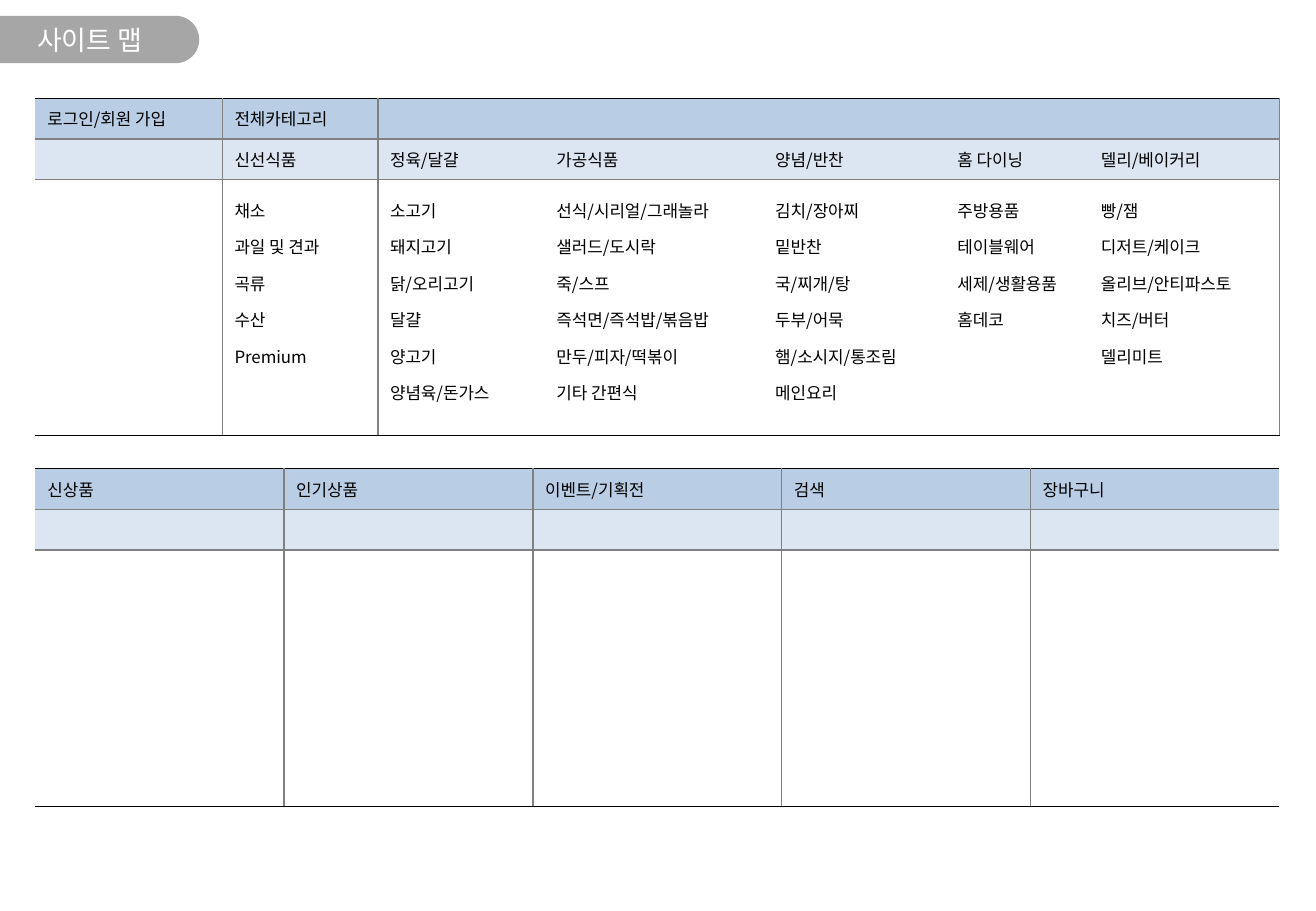
from lxml.etree import SubElement
from pptx import Presentation
from pptx.dml.color import RGBColor
from pptx.enum.shapes import MSO_SHAPE
from pptx.enum.text import MSO_ANCHOR, PP_ALIGN
from pptx.oxml.ns import qn
from pptx.util import Inches, Pt

FONT = "Noto Sans CJK KR"
COLORS = {
    "tab": "A6A6A6", "title": "FFFFFF", "text": "000000",
    "head": "B9CDE5", "subhead": "DCE6F2", "body": "FFFFFF",
    "edge": "000000", "grid": "808080",
}
ROW_FILLS = ["head", "subhead", "body"]
ROW_HEIGHTS = [0.335, 0.335, 2.11]
EDGE, GRID = ("edge", 0.75), ("grid", 1)
ROW_LINES = [EDGE, GRID, GRID, EDGE]
MARGIN, TABLE_WIDTH = 0.29, 10.24

# One entry per column: width, head, subhead, items
CATEGORIES = [
    (1.54, "로그인/회원 가입", "", []),
    (1.28, "전체카테고리", "신선식품",
     ["채소", "과일 및 견과", "곡류", "수산", "Premium"]),
    (1.37, "", "정육/달걀",
     ["소고기", "돼지고기", "닭/오리고기", "달걀", "양고기", "양념육/돈가스"]),
    (1.8, "", "가공식품",
     ["선식/시리얼/그래놀라", "샐러드/도시락", "죽/스프",
      "즉석면/즉석밥/볶음밥", "만두/피자/떡볶이", "기타 간편식"]),
    (1.5, "", "양념/반찬",
     ["김치/장아찌", "밑반찬", "국/찌개/탕", "두부/어묵",
      "햄/소시지/통조림", "메인요리"]),
    (1.18, "", "홈 다이닝",
     ["주방용품", "테이블웨어", "세제/생활용품", "홈데코"]),
    (1.57, "", "델리/베이커리",
     ["빵/잼", "디저트/케이크", "올리브/안티파스토", "치즈/버터", "델리미트"]),
]
MENUS = ["신상품", "인기상품", "이벤트/기획전", "검색", "장바구니"]


def rgb(name):
    return RGBColor.from_string(COLORS[name])


def style_paragraph(p, size, color):
    p.font.size = Pt(size)
    p.font.color.rgb = rgb(color)
    p.font.name = FONT
    # Korean text takes the East Asian typeface
    SubElement(p._p.pPr.find(qn("a:defRPr")), qn("a:ea"), typeface=FONT)
    if not p.runs:
        SubElement(p._p, qn("a:endParaRPr"), sz=str(size * 100))


def set_border(cell, side, line):
    """Draw one side (L, R, T or B) as a (colour, points) line, or hide it."""
    tc_pr = cell._tc.get_or_add_tcPr()
    if line is None:
        SubElement(SubElement(tc_pr, qn(f"a:ln{side}"), w="0"), qn("a:noFill"))
        return
    color, width = line
    ln = SubElement(tc_pr, qn(f"a:ln{side}"), w=str(Pt(width)))
    SubElement(SubElement(ln, qn("a:solidFill")), qn("a:srgbClr"), val=COLORS[color])


def fill_cell(cell, lines, is_body):
    tf = cell.text_frame
    tf.text = "\n".join(lines)
    cell.vertical_anchor = MSO_ANCHOR.TOP if is_body else MSO_ANCHOR.MIDDLE
    for p in tf.paragraphs:
        if is_body:
            p.line_spacing = 1.5
        style_paragraph(p, 10, "text")


def add_title_tab(slide, left, top, width, height):
    # The preset rounds its lower end, so it is turned to point right
    sp = slide.shapes.add_shape(
        MSO_SHAPE.ROUND_2_SAME_RECTANGLE,
        Inches(left + (width - height) / 2), Inches(top + (height - width) / 2),
        Inches(height), Inches(width))
    sp.rotation = 270
    sp.adjustments[0], sp.adjustments[1] = 0, 0.5
    sp.shadow.inherit = False
    sp.fill.solid()
    sp.fill.fore_color.rgb = rgb("tab")
    sp.line.fill.background()

    box = slide.shapes.add_textbox(
        Inches(left), Inches(top), Inches(width * 0.9), Inches(height))
    tf = box.text_frame
    tf.word_wrap = True
    tf.vertical_anchor = MSO_ANCHOR.MIDDLE
    p = tf.paragraphs[0]
    p.text = "사이트 맵"
    p.alignment = PP_ALIGN.CENTER
    style_paragraph(p, 16, "title")


def add_map_table(slide, left, top, columns, dividers):
    """Place a three-row table; dividers are the ruled column boundaries."""
    width = sum(column[0] for column in columns)
    table = slide.shapes.add_table(
        len(ROW_HEIGHTS), len(columns), Inches(left), Inches(top),
        Inches(width), Inches(sum(ROW_HEIGHTS))).table
    table.first_row = table.horz_banding = False
    for r, height in enumerate(ROW_HEIGHTS):
        table.rows[r].height = Inches(height)
    for c, (col_width, head, subhead, items) in enumerate(columns):
        table.columns[c].width = Inches(col_width)
        for r, lines in enumerate([[head], [subhead], items]):
            cell = table.cell(r, c)
            set_border(cell, "L", GRID if c in dividers else None)
            set_border(cell, "R", GRID if c + 1 in dividers else None)
            set_border(cell, "T", ROW_LINES[r])
            set_border(cell, "B", ROW_LINES[r + 1])
            cell.fill.solid()
            cell.fill.fore_color.rgb = rgb(ROW_FILLS[r])
            fill_cell(cell, lines, ROW_FILLS[r] == "body")


def main():
    prs = Presentation()
    prs.slide_width, prs.slide_height = Inches(10.83), Inches(7.5)
    slide = prs.slides.add_slide(prs.slide_layouts[6])
    add_title_tab(slide, 0, 0.13, 1.64, 0.39)
    add_map_table(slide, MARGIN, 0.81, CATEGORIES, {1, 2, len(CATEGORIES)})
    menus = [(TABLE_WIDTH / len(MENUS), name, "", []) for name in MENUS]
    add_map_table(slide, MARGIN, 3.86, menus, range(1, len(MENUS)))
    prs.save("out.pptx")


if __name__ == "__main__":
    main()
